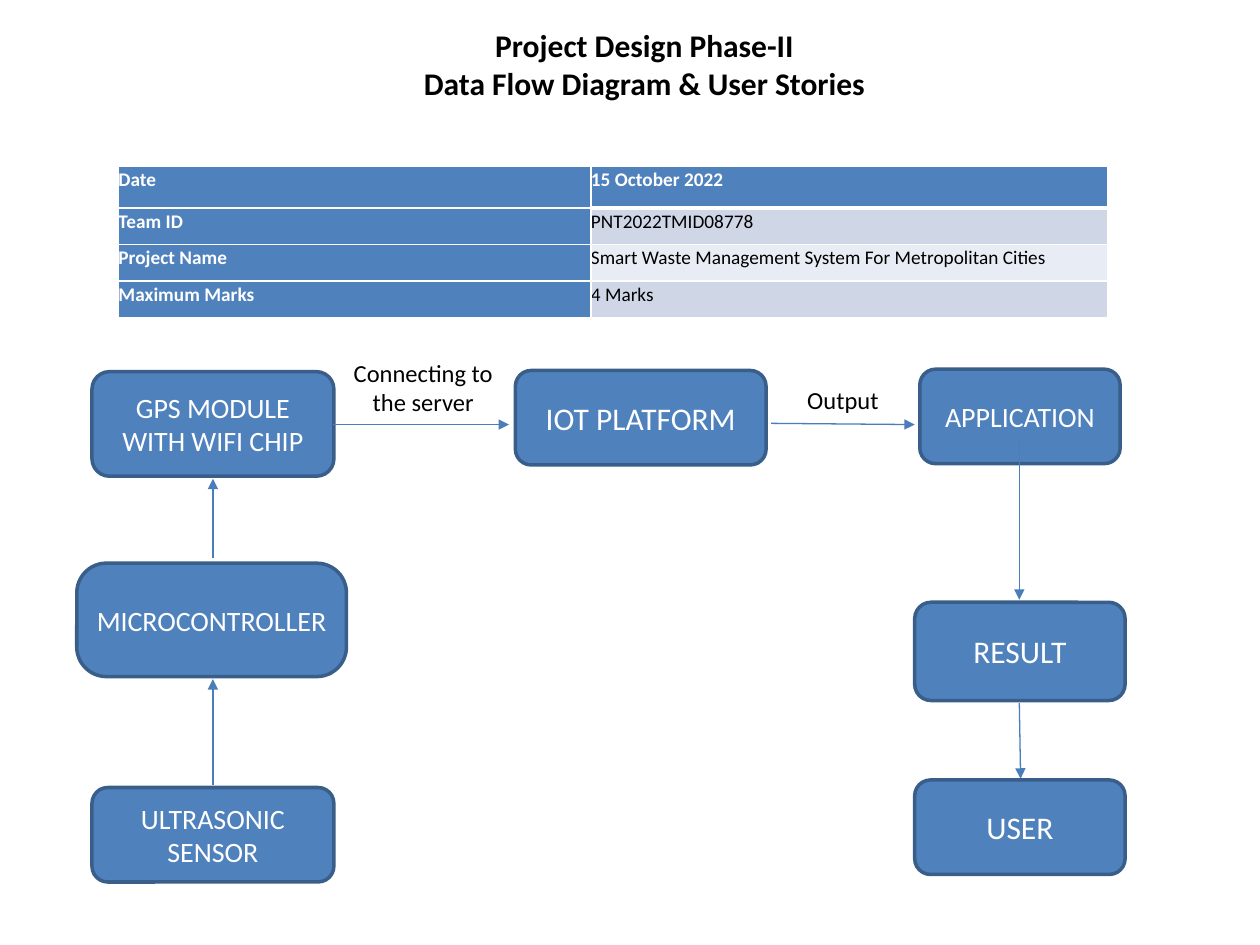
from lxml import etree
from pptx import Presentation
from pptx.dml.color import RGBColor
from pptx.enum.shapes import MSO_CONNECTOR, MSO_SHAPE
from pptx.enum.text import MSO_ANCHOR, MSO_AUTO_SIZE, PP_ALIGN
from pptx.oxml.ns import qn
from pptx.util import Inches, Pt

ROUNDED = MSO_SHAPE.ROUNDED_RECTANGLE
STRAIGHT = MSO_CONNECTOR.STRAIGHT
TOP, MIDDLE = MSO_ANCHOR.TOP, MSO_ANCHOR.MIDDLE
CENTER, LEFT = PP_ALIGN.CENTER, PP_ALIGN.LEFT
NO_FIT = MSO_AUTO_SIZE.NONE
TITLE_ONLY = 5
FONT = "Calibri"
COLORS = {
    "blue": "4F81BD",
    "outline": "3A5E8A",
    "arrow": "4A7EBB",
    "band": "CFD7E7",
    "light_band": "E8ECF4",
    "white": "FFFFFF",
    "black": "000000",
}

TITLE = "Project Design Phase-II\nData Flow Diagram & User Stories"
DETAILS = [
    ("Date", "15 October 2022"),
    ("Team ID", "PNT2022TMID08778"),
    ("Project Name", "Smart Waste Management System For Metropolitan Cities"),
    ("Maximum Marks", "4 Marks"),
]
STEPS = [
    ("ULTRASONIC\nSENSOR", 16, (0.73, 6.25, 1.92, 0.75), 0.167),
    ("MICROCONTROLLER", 16, (0.61, 4.47, 2.14, 0.9), 0.261),
    ("GPS MODULE WITH WIFI CHIP", 16, (0.73, 2.95, 1.92, 0.83), 0.167),
    ("IOT PLATFORM", 18, (4.09, 2.94, 1.99, 0.75), 0.167),
    ("APPLICATION", 16, (7.3, 2.93, 1.59, 0.75), 0.167),
    ("RESULT", 18, (7.26, 4.78, 1.67, 0.78), 0.167),
    ("USER", 18, (7.26, 6.19, 1.67, 0.75), 0.167),
]
FLOWS = [
    ((1.69, 6.23), (1.69, 5.39)),
    ((1.69, 4.43), (1.69, 3.8)),
    ((2.64, 3.37), (4.04, 3.37)),
    ((6.12, 3.36), (7.26, 3.37)),
    ((8.09, 3.48), (8.09, 4.76)),
    ((8.09, 5.58), (8.1, 6.18)),
]
FLOW_LABELS = [
    ("Connecting to\nthe server", (2.73, 2.79, 1.26, 0.56)),
    ("Output", (6.35, 3.01, 0.68, 0.31)),
]


def rgb(name):
    return RGBColor.from_string(COLORS[name])


def write(frame, text, size, color, bold=False, align=CENTER, anchor=TOP, margin=0.05):
    frame.text = text
    frame.vertical_anchor = anchor
    frame.margin_left = frame.margin_right = Inches(margin)
    frame.margin_top = frame.margin_bottom = Inches(0.05)
    for paragraph in frame.paragraphs:
        style_paragraph(paragraph, size, color, bold, align)


def style_paragraph(paragraph, size, color, bold, align):
    paragraph.alignment = align
    paragraph.font.name = FONT
    paragraph.font.size = Pt(size)
    paragraph.font.bold = bold
    paragraph.font.color.rgb = rgb(color)


def set_title(slide):
    title = slide.shapes.title
    title.left, title.top = Inches(2.94), Inches(0.16)
    title.width, title.height = Inches(4.35), Inches(1)
    write(title.text_frame, TITLE, 18, "black", bold=True)
    title.text_frame.auto_size = NO_FIT


def set_border(cell, side, index, width):
    border = etree.Element(qn(f"a:ln{side}"), w=str(Pt(width)))
    fill = etree.SubElement(border, qn("a:solidFill"))
    etree.SubElement(fill, qn("a:srgbClr"), val=COLORS["white"])
    cell._tc.get_or_add_tcPr().insert(index, border)


def fill_cell(cell, text, row, column):
    heading = row == 0 or column == 0
    cell.text = text
    cell.margin_left = cell.margin_right = cell.margin_top = cell.margin_bottom = 0
    paragraph = cell.text_frame.paragraphs[0]
    style_paragraph(paragraph, 11, "white" if heading else "black", heading, LEFT)
    paragraph.line_spacing = 1.07
    band = "band" if row % 2 else "light_band"
    cell.fill.solid()
    cell.fill.fore_color.rgb = rgb("blue" if heading else band)
    for index, side in enumerate("LRTB"):
        under_header = column == 1 and (row, side) in ((0, "B"), (1, "T"))
        set_border(cell, side, index, 3 if under_header else 1)


def add_details(slide):
    table = slide.shapes.add_table(
        len(DETAILS), 2, Inches(0.94), Inches(1.32), Inches(7.85), Inches(1.19)
    ).table
    table.columns[0].width, table.columns[1].width = Inches(3.75), Inches(4.1)
    for row, texts in enumerate(DETAILS):
        table.rows[row].height = Inches(0.29 if row else 0.33)
        for column, text in enumerate(texts):
            fill_cell(table.cell(row, column), text, row, column)


def add_step(slide, text, size, place, rounding):
    step = slide.shapes.add_shape(ROUNDED, *map(Inches, place))
    step.adjustments[0] = rounding
    step.shadow.inherit = False
    step.fill.solid()
    step.fill.fore_color.rgb = rgb("blue")
    step.line.color.rgb = rgb("outline")
    step.line.width = Pt(2)
    write(step.text_frame, text, size, "white", anchor=MIDDLE, margin=0.1)
    step.text_frame.word_wrap = " " in text


def add_flow(slide, start, end):
    flow = slide.shapes.add_connector(STRAIGHT, *map(Inches, start + end))
    flow.line.color.rgb = rgb("arrow")
    flow.line.width = Pt(0.75)
    etree.SubElement(flow.line._get_or_add_ln(), qn("a:tailEnd"), type="triangle")
    etree.SubElement(flow._element.spPr, qn("a:effectLst"))


def add_flow_label(slide, text, place):
    label = slide.shapes.add_textbox(*map(Inches, place))
    write(label.text_frame, text, 14, "black")
    label.text_frame.word_wrap = False


def main():
    prs = Presentation()
    prs.slide_width, prs.slide_height = Inches(10), Inches(7.5)
    slide = prs.slides.add_slide(prs.slide_layouts[TITLE_ONLY])
    set_title(slide)
    add_details(slide)
    for step in STEPS:
        add_step(slide, *step)
    for flow in FLOWS:
        add_flow(slide, *flow)
    for label in FLOW_LABELS:
        add_flow_label(slide, *label)
    prs.save("out.pptx")


if __name__ == "__main__":
    main()
